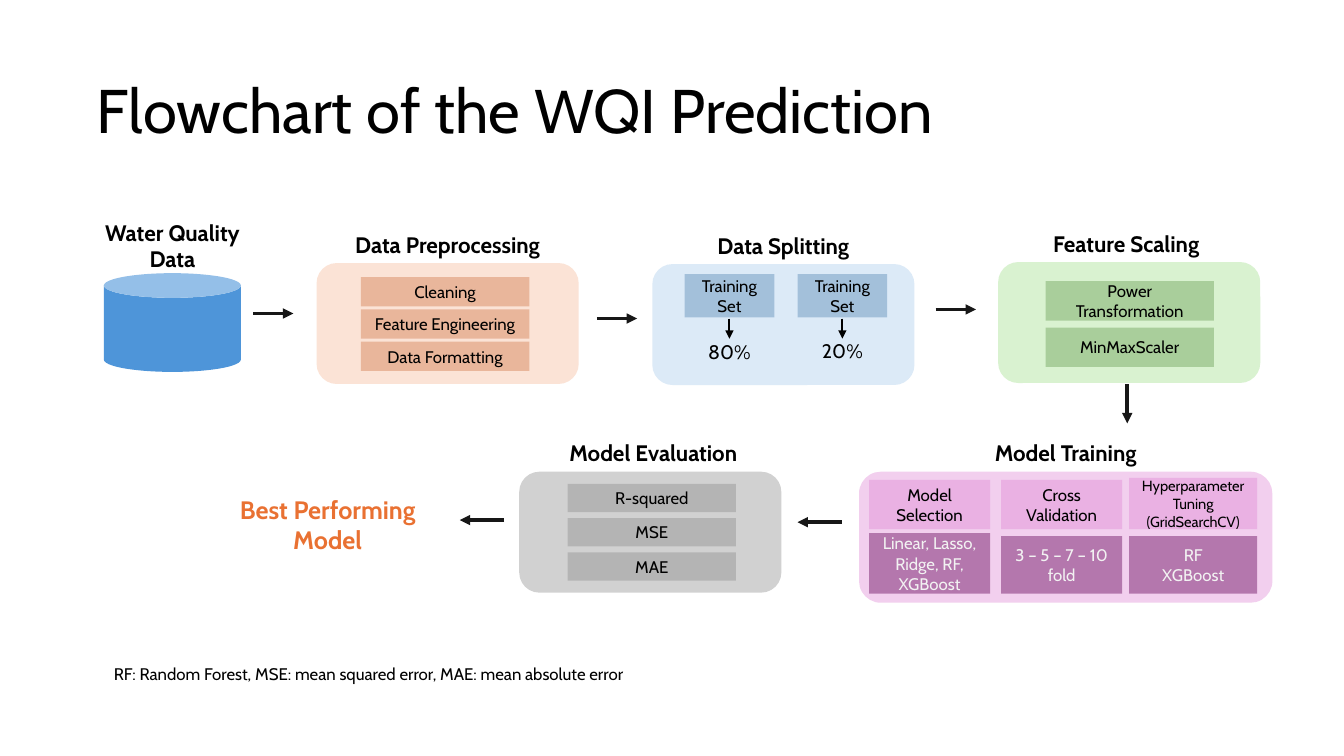
from lxml import etree
from pptx import Presentation
from pptx.dml.color import RGBColor
from pptx.enum.shapes import MSO_CONNECTOR, MSO_SHAPE
from pptx.enum.text import MSO_ANCHOR, PP_ALIGN
from pptx.oxml.ns import qn
from pptx.util import Inches, Pt

RECT, ROUND, CAN = MSO_SHAPE.RECTANGLE, MSO_SHAPE.ROUNDED_RECTANGLE, MSO_SHAPE.CAN
STRAIGHT = MSO_CONNECTOR.STRAIGHT
LEFT, CENTER = PP_ALIGN.LEFT, PP_ALIGN.CENTER
TOP, MIDDLE = MSO_ANCHOR.TOP, MSO_ANCHOR.MIDDLE

FONT = "Cabin"
BLACK = RGBColor(0x00, 0x00, 0x00)
INK = RGBColor(0x17, 0x17, 0x17)
PALE = RGBColor(0xF2, 0xF2, 0xF2)
ORANGE = RGBColor(0xE9, 0x71, 0x32)
WATER = RGBColor(0x4E, 0x95, 0xD9)
PEACH, RUST = RGBColor(0xFB, 0xE3, 0xD6), RGBColor(0xC0, 0x4F, 0x15)
SKY, BLUE = RGBColor(0xDC, 0xEA, 0xF7), RGBColor(0x21, 0x5F, 0x9A)
MINT, GREEN = RGBColor(0xD9, 0xF2, 0xD0), RGBColor(0x3B, 0x7D, 0x23)
SILVER, GRAY = RGBColor(0xD1, 0xD1, 0xD1), RGBColor(0x74, 0x74, 0x74)
PINK, ORCHID = RGBColor(0xF2, 0xCF, 0xEE), RGBColor(0xD8, 0x6E, 0xCC)
PLUM = RGBColor(0x78, 0x20, 0x6E)

LABEL_H = 0.37
BAR_W = 1.67


def write(frame, text, size=12, color=BLACK, bold=False, align=CENTER,
          anchor=MIDDLE, wrap=True, spacing=None):
    frame.word_wrap = wrap
    frame.vertical_anchor = anchor
    frame.text = text
    for para in frame.paragraphs:
        para.alignment = align
        para.line_spacing = spacing
        font = para.font
        font.name, font.size, font.bold = FONT, Pt(size), bold
        font.color.rgb = color


def label(slide, box, text, **style):
    area = slide.shapes.add_textbox(*map(Inches, box))
    write(area.text_frame, text, anchor=TOP, **style)


def block(slide, kind, box, fill, alpha=100):
    shape = slide.shapes.add_shape(kind, *map(Inches, box))
    shape.shadow.inherit = False
    shape.fill.solid()
    shape.fill.fore_color.rgb = fill
    shape.line.fill.background()
    if alpha < 100:
        tint = shape.fill._xPr.find(".//" + qn("a:srgbClr"))
        etree.SubElement(tint, qn("a:alpha"), val=str(alpha * 1000))
    return shape


def chip(slide, box, text, fill, alpha=30, **style):
    write(block(slide, RECT, box, fill, alpha).text_frame, text, **style)


def arrow(slide, x, y, dx=0, dy=0, color=INK, width=2.5):
    line = slide.shapes.add_connector(
        STRAIGHT, *map(Inches, (x, y, x + dx, y + dy)))
    line.line.color.rgb = color
    line.line.width = Pt(width)
    etree.SubElement(line.line._get_or_add_ln(), qn("a:tailEnd"), type="triangle")
    etree.SubElement(line._element.spPr, qn("a:effectLst"))


def panel(slide, box, name, fill, shift=0):
    """Rounded panel with its heading resting on the top edge."""
    x, y, w, h = box
    label(slide, (x + shift, y - LABEL_H, w, LABEL_H), name, size=16, bold=True)
    block(slide, ROUND, box, fill)


def heading(slide, box):
    title = slide.shapes.title
    title.left, title.top, title.width, title.height = map(Inches, box)
    write(title.text_frame, "Flowchart of the WQI Prediction", size=44,
          align=LEFT, spacing=0.9)


def source(slide, box):
    x, y, w, h = box
    label(slide, (x - 0.28, y - 0.59, w + 0.56, 0.64), "Water Quality\nData",
          size=16, bold=True)
    block(slide, CAN, box, WATER)


def stack(slide, box, name, fill, tint, rows, inset, first, step, height, shift=0):
    """Panel holding equal bars, one above the other."""
    panel(slide, box, name, fill, shift)
    x, y = box[:2]
    for i, text in enumerate(rows):
        chip(slide, (x + inset, y + first + i * step, BAR_W, height), text, tint)


def split(slide, box):
    panel(slide, box, "Data Splitting", SKY)
    x, y = box[:2]
    wide = 0.89
    for i, share in enumerate(("80%", "20%")):
        left = x + 0.32 + i * 1.12
        chip(slide, (left, y + 0.1, wide, 0.43), "Training Set", BLUE)
        arrow(slide, left + wide / 2, y + 0.54, dy=0.2, color=BLACK, width=1.5)
        label(slide, (left, y + 0.7 - i * 0.01, wide, 0.34), share, size=14)


def train(slide, box):
    panel(slide, box, "Model Training", PINK)
    x, y = box[:2]
    # Left, width, top of step, step, its size, top of choice, choice
    cols = (
        (0.1, 1.2, 0.08, "Model Selection", 12, 0.61,
         "Linear, Lasso, Ridge, RF, XGBoost"),
        (1.41, 1.2, 0.08, "Cross Validation", 12, 0.64, "3 – 5 – 7 – 10 fold"),
        (2.68, 1.27, 0.06, "Hyperparameter Tuning (GridSearchCV)", 10.5, 0.64,
         "RF\nXGBoost"),
    )
    for left, wide, top, step, size, low, choice in cols:
        chip(slide, (x + left, y + top, wide, 0.57 - top), step, ORCHID, size=size)
        chip(slide, (x + left, y + low, wide, 1.21 - low), choice, PLUM,
             alpha=50, color=PALE)


def main():
    deck = Presentation()
    deck.slide_width, deck.slide_height = Inches(13.33), Inches(7.5)
    slide = deck.slides.add_slide(deck.slide_layouts[5])
    heading(slide, (0.86, 0.4, 11.67, 1.45))

    # Upper row: from data to scaled features
    source(slide, (1.03, 2.71, 1.36, 0.98))
    stack(slide, (3.14, 2.61, 2.6, 1.2), "Data Preprocessing", PEACH, RUST,
          ("Cleaning", "Feature Engineering", "Data Formatting"),
          inset=0.44, first=0.14, step=0.32, height=0.29)
    split(slide, (6.47, 2.62, 2.6, 1.2))
    stack(slide, (9.9, 2.6, 2.6, 1.2), "Feature Scaling", MINT, GREEN,
          ("Power Transformation", "MinMaxScaler"),
          inset=0.47, first=0.19, step=0.46, height=0.39, shift=-0.03)

    # Lower row: from training to the best model
    train(slide, (8.52, 4.68, 4.1, 1.3))
    stack(slide, (5.15, 4.68, 2.6, 1.2), "Model Evaluation", SILVER, GRAY,
          ("R-squared", "MSE", "MAE"),
          inset=0.48, first=0.12, step=0.34, height=0.28, shift=0.03)
    label(slide, (2.15, 4.85, 2.2, 0.71), "Best Performing Model",
          size=18, bold=True, color=ORANGE)

    # Arrows between stages
    for x, y in ((2.51, 3.11), (5.92, 3.16), (9.28, 3.07)):
        arrow(slide, x, y, dx=0.4)
    arrow(slide, 11.18, 3.81, dy=0.39)
    for x, y in ((8.35, 5.18), (5, 5.16)):
        arrow(slide, x, y, dx=-0.44)

    # Abbreviations
    label(slide, (1.03, 6.54, 5.45, 0.3),
          "RF: Random Forest, MSE: mean squared error, MAE: mean absolute error",
          align=LEFT, wrap=False)
    deck.save("out.pptx")


if __name__ == "__main__":
    main()
